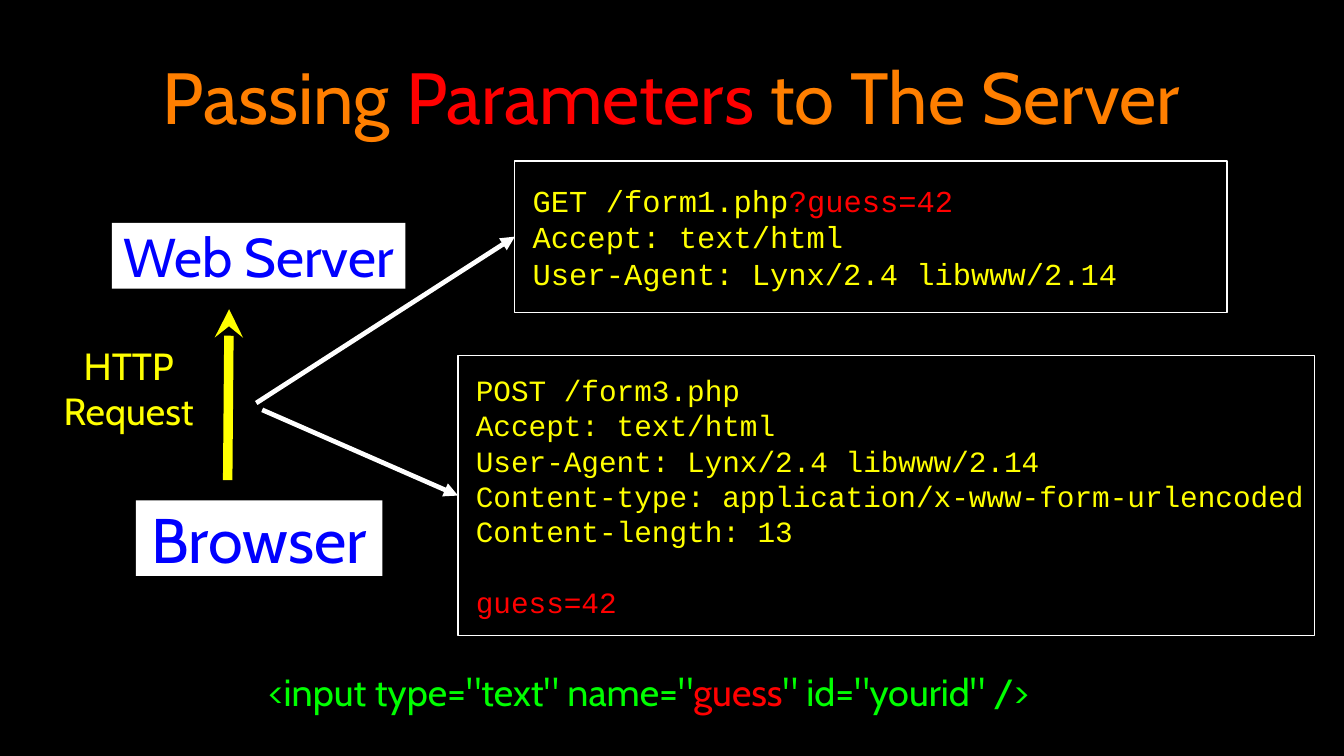
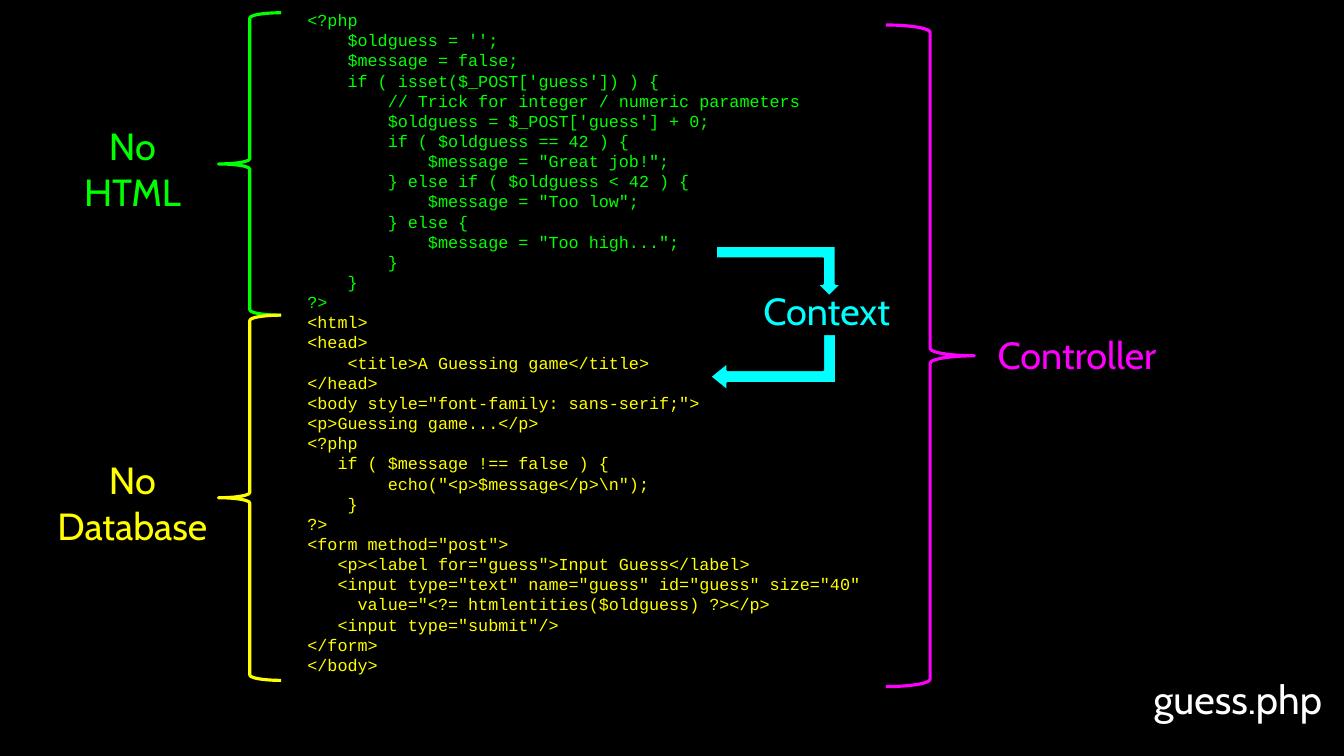
from typing import NamedTuple

from pptx import Presentation
from pptx.dml.color import RGBColor as Rgb
from pptx.enum.shapes import MSO_CONNECTOR as Connector, MSO_SHAPE as Preset
from pptx.enum.text import MSO_ANCHOR as Anchor, PP_ALIGN as Align
from pptx.oxml.ns import qn
from pptx.util import Cm, Pt
from lxml.etree import SubElement


class Theme:
    black, white = "000000", "FFFFFF"
    orange, red, yellow = "FF7F00", "FF0000", "FFFF00"
    green, blue = "00FF00", "0000FF"
    cyan, magenta = "00FFFF", "FF00FF"
    heading_font, code_font = "Cabin", "Courier New"
    title, browser, server, file_name, label = 69, 60, 52, 38, 36
    get_code, post_code, listing = 29, 28, 16
    code_leading = 1.2
    padding = (0.25, 0.13)


class Box(NamedTuple):
    """A region in centimetres."""
    left: float
    top: float
    width: float
    height: float

    def inside(self, left, top, width, height):
        return Box(self.left + left, self.top + top, width, height)

    def emu(self):
        return [Cm(length) for length in self]


PHP_LINES = r"""<?php
    $oldguess = '';
    $message = false;
    if ( isset($_POST['guess']) ) {
        // Trick for integer / numeric parameters
        $oldguess = $_POST['guess'] + 0;
        if ( $oldguess == 42 ) {
            $message = "Great job!";
        } else if ( $oldguess < 42 ) {
            $message = "Too low";
        } else {
            $message = "Too high...";
        }
    }
?>""".split("\n")

HTML_LINES = r"""<html>
<head>
    <title>A Guessing game</title>
</head>
<body style="font-family: sans-serif;">
<p>Guessing game...</p>
<?php
   if ( $message !== false ) {
        echo("<p>$message</p>\n");
    }
?>
<form method="post">
   <p><label for="guess">Input Guess</label>
   <input type="text" name="guess" id="guess" size="40"
     value="<?= htmlentities($oldguess) ?></p>
   <input type="submit"/>
</form>
</body>""".split("\n")

GET_LINES = [
    [("GET /form1.php", Theme.yellow), ("?guess=42", Theme.red)],
    "Accept: text/html",
    "User-Agent: Lynx/2.4 libwww/2.14",
]
POST_LINES = [
    "POST /form3.php",
    "Accept: text/html",
    "User-Agent: Lynx/2.4 libwww/2.14",
    "Content-type: application/x-www-form-urlencoded",
    "Content-length: 13",
    [("guess=42", Theme.red)],
]


def write_text(shape, lines, *, size, color=Theme.white, font=Theme.heading_font,
               align=Align.CENTER, anchor=Anchor.MIDDLE, wrap=False,
               padding=(0, 0), indent=0, leading=None):
    """Fill a shape; a line is a string or a list of (text, colour) runs."""
    frame = shape.text_frame
    frame.word_wrap = wrap
    frame.vertical_anchor = anchor
    frame.margin_left = Cm(padding[0] + indent)
    frame.margin_right = Cm(padding[0])
    frame.margin_top = frame.margin_bottom = Cm(padding[1])
    for index, line in enumerate(lines):
        paragraph = frame.add_paragraph() if index else frame.paragraphs[0]
        paragraph.alignment = align
        if leading:
            paragraph.line_spacing = Pt(size * leading)
        for text, run_color in [(line, color)] if isinstance(line, str) else line:
            run = paragraph.add_run()
            run.text = text
            run.font.name = font
            run.font.size = Pt(size)
            run.font.color.rgb = Rgb.from_string(run_color)
    return frame


def add_text(slide, box, lines, **text_format):
    return write_text(slide.shapes.add_textbox(*box.emu()), lines, **text_format)


def add_preset(slide, preset, box, fill=None, line=None, weight=1):
    shape = slide.shapes.add_shape(preset, *box.emu())
    shape.shadow.inherit = False
    if fill:
        shape.fill.solid()
        shape.fill.fore_color.rgb = Rgb.from_string(fill)
    else:
        shape.fill.background()
    if line:
        shape.line.color.rgb = Rgb.from_string(line)
        shape.line.width = Pt(weight)
    else:
        shape.line.fill.background()
    return shape


def add_arrow(slide, tip, tail, color, weight, head):
    """Draw a straight arrow whose head is at its beginning."""
    arrow = slide.shapes.add_connector(
        Connector.STRAIGHT, *(Cm(length) for length in (*tip, *tail)))
    arrow.line.color.rgb = Rgb.from_string(color)
    arrow.line.width = Pt(weight)
    properties = arrow._element.spPr
    SubElement(properties.find(qn("a:ln")), qn("a:headEnd"), type=head)
    SubElement(properties, qn("a:effectLst"))
    return arrow


def add_bent_arrow(slide, box, rotation=0, adjustments=()):
    arrow = add_preset(slide, Preset.BENT_UP_ARROW, box, Theme.cyan, Theme.black, 2)
    arrow._element.spPr.find(qn("a:xfrm")).set("flipV", "1")
    arrow.rotation = rotation
    for index, value in enumerate(adjustments):
        arrow.adjustments[index] = value


def add_black_slide(presentation):
    slide = presentation.slides.add_slide(presentation.slide_layouts[6])
    slide.background.fill.solid()
    slide.background.fill.fore_color.rgb = Rgb.from_string(Theme.black)
    return slide


def add_title(slide, box):
    runs = [("Passing ", Theme.orange), ("Parameters", Theme.red),
            (" to The Server", Theme.orange)]
    add_text(slide, box, [runs], size=Theme.title, wrap=True, padding=(0.15, 0.15))


def add_request_flow(slide, box):
    """Browser at the bottom, web server on top, request arrow between."""
    nodes = [
        ("Browser", Theme.browser, box.inside(2.67, 9.32, 8.28, 2.54)),
        ("Web Server", Theme.server, box.inside(1.86, 0, 9.86, 2.21)),
    ]
    for name, size, place in nodes:
        node = add_preset(slide, Preset.RECTANGLE, place, fill=Theme.white)
        write_text(node, [name], size=size, color=Theme.blue)
    add_text(slide, box.inside(0, 4.02, 4.85, 3.05), ["HTTP", "Request"],
             size=Theme.label, color=Theme.yellow)
    add_arrow(slide, (box.left + 5.8, box.top + 2.9),
              (box.left + 5.75, box.top + 8.64), Theme.yellow, 9, "stealth")


def add_request(slide, box, lines, size, arrow_tail):
    """Framed request text with an arrow to the middle of its left side."""
    panel = add_preset(slide, Preset.RECTANGLE, box, line=Theme.white)
    frame = write_text(panel, lines, size=size, color=Theme.yellow,
                       font=Theme.code_font, align=Align.LEFT, wrap=True,
                       indent=0.6, leading=Theme.code_leading)
    arrow = add_arrow(slide, (box.left, box.top + box.height / 2), arrow_tail,
                      Theme.white, 4.5, "triangle")
    arrow.begin_connect(panel, 1)
    return frame


def add_input_tag(slide, box):
    runs = [('<input type="text" name="', Theme.green), ("guess", Theme.red),
            ('" id="yourid" />', Theme.green)]
    add_text(slide, box, [runs], size=Theme.label, align=Align.LEFT,
             wrap=True, indent=1.4)


def add_code_section(slide, box, label_lines, color):
    """Label and left brace marking one part of the listing."""
    brace_width, label_height = 2.11, 3.3
    add_preset(slide, Preset.LEFT_BRACE,
               box.inside(box.width - brace_width, 0, brace_width, box.height),
               line=color, weight=3)
    add_text(slide, box.inside(0, box.height / 2 - 1.5, 6.1, label_height),
             label_lines, size=Theme.label, color=color, anchor=Anchor.TOP,
             padding=Theme.padding)


def add_controller(slide, box):
    add_preset(slide, Preset.RIGHT_BRACE, box.inside(0, 0, 2.97, box.height),
               line=Theme.magenta, weight=3)
    add_text(slide, box.inside(3.17, box.height / 2 - 0.95, 6.5, 1.78),
             ["Controller"], size=Theme.label, color=Theme.magenta,
             anchor=Anchor.TOP, padding=Theme.padding)


def add_context(slide, box):
    """Label between the arrow out of the PHP and the arrow into the HTML."""
    add_text(slide, box.inside(1.35, 1.27, 5.16, 1.78), ["Context"],
             size=Theme.label, color=Theme.cyan, anchor=Anchor.TOP,
             padding=Theme.padding)
    add_bent_arrow(slide, box.inside(0.2, 0, 4.24, 1.7))
    add_bent_arrow(slide, box.inside(1.17, 1.8, 1.91, 4.24), 90, (0.23, 0.25, 0.31))


def add_listing(slide, box):
    lines = [[(line, Theme.green)] for line in PHP_LINES]
    lines += [[(line, Theme.yellow)] for line in HTML_LINES]
    add_text(slide, box, lines, size=Theme.listing, font=Theme.code_font,
             align=Align.LEFT, anchor=Anchor.TOP, wrap=True,
             padding=Theme.padding, leading=Theme.code_leading)


def build_parameters_slide(presentation):
    slide = add_black_slide(presentation)
    add_title(slide, Box(3.2, 0.66, 38.71, 5.08))
    add_request_flow(slide, Box(1.9, 7.49, 11.72, 11.86))
    add_request(slide, Box(17.3, 5.41, 23.93, 5.08), GET_LINES,
                Theme.get_code, (8.61, 13.54))
    post = add_request(slide, Box(15.39, 11.94, 28.78, 9.42), POST_LINES,
                       Theme.post_code, (8.81, 13.77))
    post.paragraphs[-1].space_before = Pt(Theme.post_code * Theme.code_leading)
    add_input_tag(slide, Box(7.62, 22.38, 29.92, 1.73))


def build_guess_slide(presentation):
    slide = add_black_slide(presentation)
    add_text(slide, Box(38.33, 22.68, 6.53, 1.6), ["guess.php"], size=Theme.file_name)
    add_code_section(slide, Box(1.4, 0.43, 8.05, 10.16), ["No", "HTML"], Theme.green)
    add_code_section(slide, Box(1.4, 10.59, 8.05, 12.27), ["No", "Database"],
                     Theme.yellow)
    add_controller(slide, Box(29.77, 0.84, 9.67, 22.23))
    add_context(slide, Box(23.85, 8.26, 6.51, 4.87))
    add_listing(slide, Box(10.08, 0.2, 22.58, 22.61))


def main():
    presentation = Presentation()
    presentation.slide_width = Cm(45.16)
    presentation.slide_height = Cm(25.4)
    build_parameters_slide(presentation)
    build_guess_slide(presentation)
    presentation.save("out.pptx")


if __name__ == "__main__":
    main()
